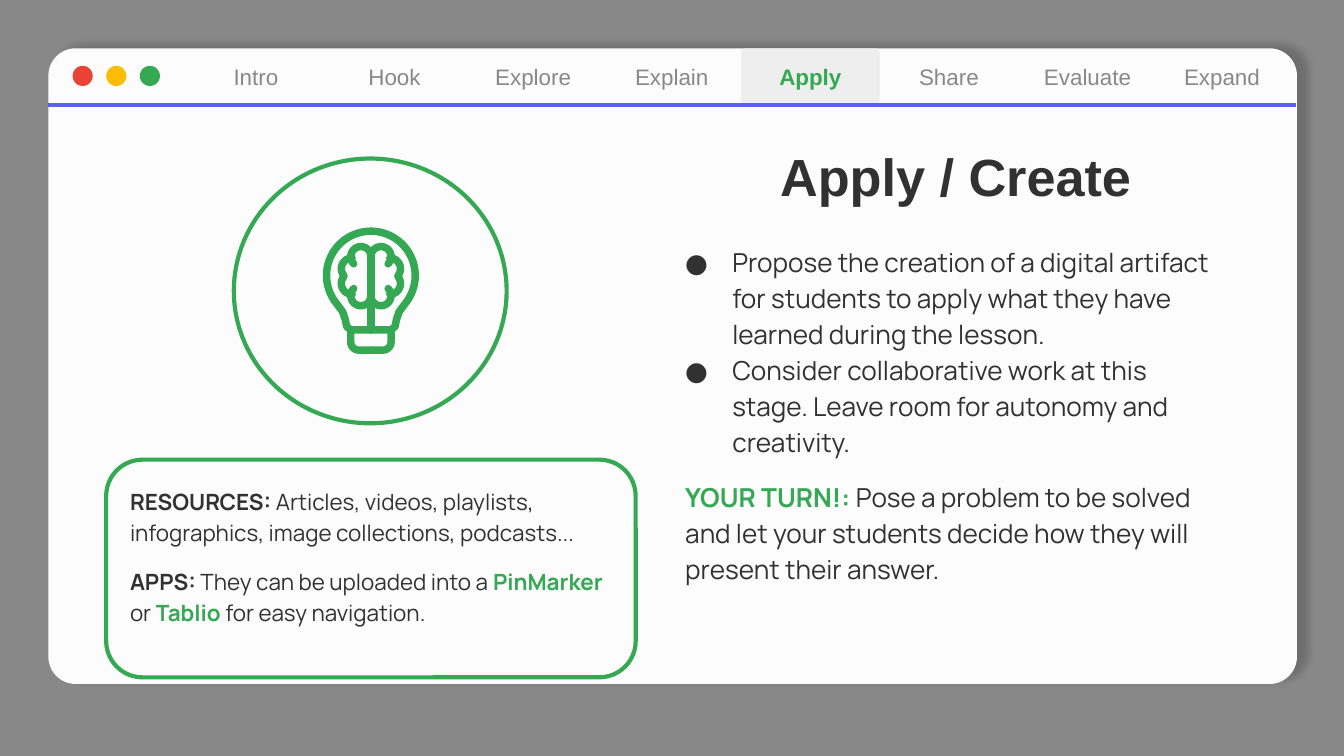
import math
import pptx
import pptx.util
import pptx.dml.color
import pptx.enum.shapes
import pptx.enum.text
import pptx.oxml
import pptx.oxml.ns

Inches, Pt = pptx.util.Inches, pptx.util.Pt
SHAPE = pptx.enum.shapes.MSO_SHAPE
ALIGN = pptx.enum.text.PP_ALIGN
ANCHOR = pptx.enum.text.MSO_ANCHOR

GREEN, DARK, GRAY = "34A853", "313131", "888888"
TABS = ["Intro", "Hook", "Explore", "Explain", "Apply", "Share", "Evaluate", "Expand"]
MID_X, MID_Y = 2.76, 2.055  # axes of the brain icon


def color(code):
    return pptx.dml.color.RGBColor.from_string(code)


def node(tag, body="", **attrs):
    text = "".join(f' {key}="{val}"' for key, val in attrs.items())
    space = pptx.oxml.ns.nsdecls("a")
    return pptx.oxml.parse_xml(f"<a:{tag} {space}{text}>{body}</a:{tag}>")


def paint(shape, fill=None, line=None, width=2.25):
    shape.shadow.inherit = False
    if fill:
        shape.fill.solid()
        shape.fill.fore_color.rgb = color(fill)
    else:
        shape.fill.background()
    if line:
        shape.line.color.rgb = color(line)
        shape.line.width = Pt(width)
    else:
        shape.line.fill.background()


def add_shape(slide, kind, box, fill=None, line=None, adj=None):
    shape = slide.shapes.add_shape(kind, *map(Inches, box))
    if adj is not None:
        shape.adjustments[0] = adj
    paint(shape, fill, line)
    return shape


def set_frame(shape, inset=0.1, anchor=ANCHOR.TOP):
    frame = shape.text_frame
    frame.word_wrap = True
    frame.vertical_anchor = anchor
    frame.margin_left = frame.margin_right = Inches(inset)
    frame.margin_top = frame.margin_bottom = Inches(inset)
    return frame


def write(para, parts, size, font, align=ALIGN.LEFT, lead=1.0, before=0, after=0):
    """Each part is (text, colour, bold)."""
    para.alignment = align
    para.line_spacing = lead
    para.space_before, para.space_after = Pt(before), Pt(after)
    for text, code, bold in parts:
        run = para.add_run()
        run.text = text
        run.font.size, run.font.name, run.font.bold = Pt(size), font, bold
        run.font.color.rgb = color(code)


def add_bullet(para):
    props = para._p.get_or_add_pPr()
    props.set("marL", str(Inches(0.35)))
    props.set("indent", str(-Inches(0.35)))
    props.append(node("buClr", f'<a:srgbClr val="{DARK}"/>'))
    props.append(node("buFont", typeface="Manrope"))
    props.append(node("buChar", char="●"))


def add_box(slide, box, anchor=ANCHOR.TOP):
    return set_frame(slide.shapes.add_textbox(*map(Inches, box)), anchor=anchor)


def add_tab(slide, i, name):
    active, last = name == "Apply", i == len(TABS) - 1
    kind = SHAPE.ROUND_1_RECTANGLE if last else SHAPE.ROUNDED_RECTANGLE
    tab = add_shape(slide, kind, (1.39 + 1.03125 * i, 0.36, 1.03, 0.42),
                    "EEEEEE" if active else None, adj=0.5 if last else 0.06)
    frame = set_frame(tab, 0.1 if last else 0, ANCHOR.MIDDLE)
    write(frame.paragraphs[0], [(name, GREEN if active else GRAY, active)],
          12, "Arial", ALIGN.CENTER)


def arc(x, y, r, start, end, steps=24):
    turns = [math.radians(start + (end - start) * i / steps) for i in range(steps + 1)]
    return [(x + r * math.cos(t), y + r * math.sin(t)) for t in turns]


def flip_x(points):
    return [(2 * MID_X - x, y) for x, y in points]


def flip_y(points):
    return [(x, 2 * MID_Y - y) for x, y in points]


def add_stroke(slide, points):
    spots = [(Inches(x), Inches(y)) for x, y in points]
    pen = slide.shapes.build_freeform(*spots[0])
    pen.add_line_segments(spots[1:], close=False)
    shape = pen.convert_to_shape()
    paint(shape, line=GREEN, width=4)
    edge = shape.line._get_or_add_ln()
    edge.set("cap", "rnd")
    edge.append(node("round"))


def add_icon(slide):
    # Left half of the bulb, its base and the brain
    bulb = arc(MID_X, 2.05, 0.33, 270, 140)
    bulb += [(2.55, 2.32), (2.57, 2.38), (2.58, 2.43), (2.61, 2.455), (MID_X, 2.455)]
    base = [(2.61, 2.455)] + arc(2.67, 2.545, 0.06, 180, 90) + [(MID_X, 2.605)]
    lobe = arc(2.685, 1.91, 0.075, 0, -225)
    side = arc(2.62, 2, 0.08, 270, 140)
    for half in (bulb, base, lobe, side, flip_y(lobe), flip_y(side)):
        add_stroke(slide, half)
        add_stroke(slide, flip_x(half))
    add_stroke(slide, [(MID_X, 1.91), (MID_X, 2.455)])


def add_window(slide):
    card = add_shape(slide, SHAPE.ROUNDED_RECTANGLE, (0.36, 0.36, 9.29, 4.73),
                     "FCFCFC", adj=0.043)
    glow = node("outerShdw",
                f'<a:srgbClr val="{DARK}"><a:alpha val="30000"/></a:srgbClr>',
                blurRad=Pt(4.5), dist=Pt(6), dir=342 * 60000, algn="bl", rotWithShape=0)
    card._element.spPr.find(pptx.oxml.ns.qn("a:effectLst")).append(glow)
    for i, name in enumerate(TABS):
        add_tab(slide, i, name)
    for i, code in enumerate(["EA4335", "FBBC05", GREEN]):
        add_shape(slide, SHAPE.OVAL, (0.54 + 0.25 * i, 0.49, 0.15, 0.15), code)
    rule = slide.shapes.add_connector(
        pptx.enum.shapes.MSO_CONNECTOR.STRAIGHT,
        Inches(0.36), Inches(0.78), Inches(9.64), Inches(0.78))
    rule.line.color.rgb = color("5F5FF5")
    rule.line.width = Pt(2.25)
    rule._element.spPr.append(node("effectLst"))


def add_tools(slide):
    panel = add_shape(slide, SHAPE.ROUNDED_RECTANGLE, (0.79, 3.42, 3.94, 1.62),
                      line=GREEN, adj=0.167)
    frame = set_frame(panel)
    write(frame.paragraphs[0], [
        ("RESOURCES:", DARK, True),
        (" Articles, videos, playlists, infographics, image collections, podcasts...",
         DARK, False)], 12, "Manrope", lead=1.15)
    write(frame.add_paragraph(), [
        ("APPS:", DARK, True), (" They can be uploaded into a ", DARK, False),
        ("PinMarker ", GREEN, True), ("or ", DARK, False),
        ("Tablio", GREEN, True), (" for easy navigation.", DARK, False)],
        12, "Manrope", lead=1.15, before=10)


def add_body(slide):
    frame = add_box(slide, (5, 1.7, 4.22, 3.34))
    points = [
        "Propose the creation of a digital artifact for students to apply "
        "what they have learned during the lesson.",
        "Consider collaborative work at this stage. Leave room for autonomy "
        "and creativity."]
    for i, text in enumerate(points):
        para = frame.add_paragraph() if i else frame.paragraphs[0]
        write(para, [(text, DARK, False)], 14, "Manrope", lead=1.15)
        add_bullet(para)
    write(frame.add_paragraph(), [
        ("YOUR TURN!: ", GREEN, True),
        ("Pose a problem to be solved and let your students decide how they "
         "will present their answer.", DARK, False)],
        14, "Manrope", lead=1.15, before=10, after=10)


def main():
    deck = pptx.Presentation()
    deck.slide_width = Inches(10)
    deck.slide_height = deck.slide_width * 9 // 16
    slide = deck.slides.add_slide(deck.slide_layouts[6])
    slide.background.fill.solid()
    slide.background.fill.fore_color.rgb = color(GRAY)

    add_window(slide)
    # Left column
    add_tools(slide)
    add_shape(slide, SHAPE.OVAL, (1.74, 1.18, 2.03, 1.97), line=GREEN)
    add_icon(slide)
    # Right column
    add_body(slide)
    title = add_box(slide, (5, 1.13, 4.22, 0.51), ANCHOR.BOTTOM)
    write(title.paragraphs[0], [("Apply / Create", DARK, True)], 28, "Arial",
          ALIGN.CENTER, lead=0.8)
    deck.save("out.pptx")


if __name__ == "__main__":
    main()
